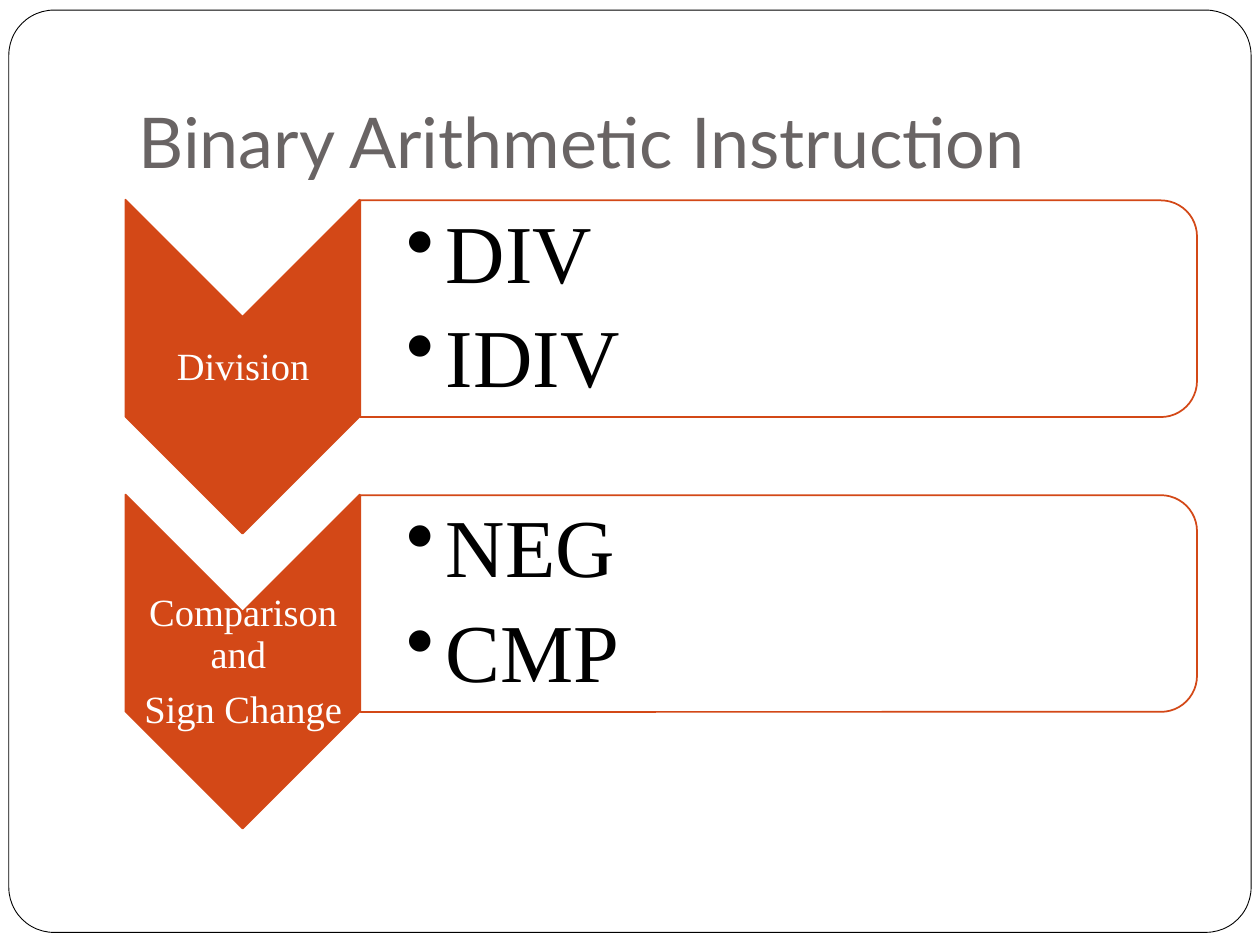
from dataclasses import dataclass

from lxml import etree
from pptx import Presentation, util as u
from pptx.dml.color import RGBColor
from pptx.enum import shapes, text
from pptx.oxml.ns import qn


@dataclass(frozen=True)
class Theme:
    accent: str = "D34817"
    title: str = "696464"
    dark: str = "000000"
    light: str = "FFFFFF"
    head_font: str = "Lato"
    body_font: str = "Times New Roman"
    title_size: int = 40
    label_size: int = 22
    item_size: int = 47


T = Theme()
SHAPE = shapes.MSO_SHAPE
ANCHOR = text.MSO_ANCHOR
TOP, STEP = 1.58, 2.34
ROWS = [
    (["Division"], ["DIV", "IDIV"]),
    (["Comparison and ", "Sign Change"], ["NEG", "CMP"]),
]


def add_shape(parent, kind, box, line, width, fill=T.light, rotation=0):
    sp = parent.shapes.add_shape(kind, *map(u.Inches, box))
    sp.shadow.inherit = False
    sp.rotation = rotation
    sp.fill.solid()
    sp.fill.fore_color.rgb = RGBColor.from_string(fill)
    sp.line.color.rgb = RGBColor.from_string(line)
    sp.line.width = u.Pt(width)
    return sp


def set_frame(tf, anchor, insets):
    tf.word_wrap = True
    tf.auto_size = text.MSO_AUTO_SIZE.NONE
    tf.vertical_anchor = anchor
    tf.margin_left, tf.margin_top, tf.margin_right, tf.margin_bottom = map(u.Inches, insets)


def add_run(p, words, font, size, color):
    r = p.add_run()
    r.text = words
    r.font.name = font
    r.font.size = u.Pt(size)
    r.font.color.rgb = RGBColor.from_string(color)


def set_bullet(p):
    p.level = 1
    pPr = p._p.get_or_add_pPr()
    pPr.set("marL", str(u.Inches(0.31)))
    pPr.set("indent", str(u.Inches(-0.31)))
    etree.SubElement(pPr, qn("a:buChar")).set("char", "•")


def add_lines(parent, box, insets, lines, size, color, after, bullets=False):
    tf = parent.shapes.add_textbox(*map(u.Inches, box)).text_frame
    set_frame(tf, ANCHOR.MIDDLE, insets)
    for i, words in enumerate(lines):
        p = tf.paragraphs[0] if i == 0 else tf.add_paragraph()
        p.alignment = text.PP_ALIGN.LEFT if bullets else text.PP_ALIGN.CENTER
        p.line_spacing = 0.9
        p.space_after = u.Pt(after)
        if bullets:
            set_bullet(p)
        add_run(p, words, T.body_font, size, color)


def add_row(group, top, label, items):
    add_shape(group, SHAPE.CHEVRON, (0.6, top + 0.4, 2.65, 1.86),
              T.accent, 1, T.accent, 90)
    add_lines(group, (1, top + 0.94, 1.86, 0.8), (0.02,) * 4,
              label, T.label_size, T.light, 8)
    panel = add_shape(group, SHAPE.ROUND_2_SAME_RECTANGLE,
                      (5.32, top - 2.45, 1.72, 6.64), T.accent, 1, rotation=90)
    color = panel.fill._xPr.find(qn("a:solidFill"))[0]
    etree.SubElement(color, qn("a:alpha")).set("val", "90000")
    add_lines(group, (2.86, top + 0.09, 6.56, 1.56), (0.37, 0.03, 0.03, 0.03),
              items, T.item_size, T.dark, 9, bullets=True)


def set_title(s, words):
    sp = s.shapes.title
    sp.left, sp.top, sp.width, sp.height = map(u.Inches, (1, 0.3, 8.5, 1.25))
    tf = sp.text_frame
    set_frame(tf, ANCHOR.BOTTOM, (0.1, 0.05, 0.1, 0.1))
    p = tf.paragraphs[0]
    p.alignment = text.PP_ALIGN.LEFT
    add_run(p, words, T.head_font, T.title_size, T.title)


def add_frame(s):
    sp = add_shape(s, SHAPE.ROUNDED_RECTANGLE, (0.07, 0.08, 9.86, 7.32), T.dark, 0.5)
    sp.adjustments[0] = 0.049
    s.shapes._spTree.insert(2, sp._element)


def main():
    prs = Presentation()
    prs.slide_width, prs.slide_height = u.Inches(10), u.Inches(7.5)
    s = prs.slides.add_slide(prs.slide_layouts[5])
    add_frame(s)
    set_title(s, "Binary Arithmetic Instruction")
    group = s.shapes.add_group_shape()
    for i, (label, items) in enumerate(ROWS):
        add_row(group, TOP + i * STEP, label, items)
    prs.save("out.pptx")


main()
